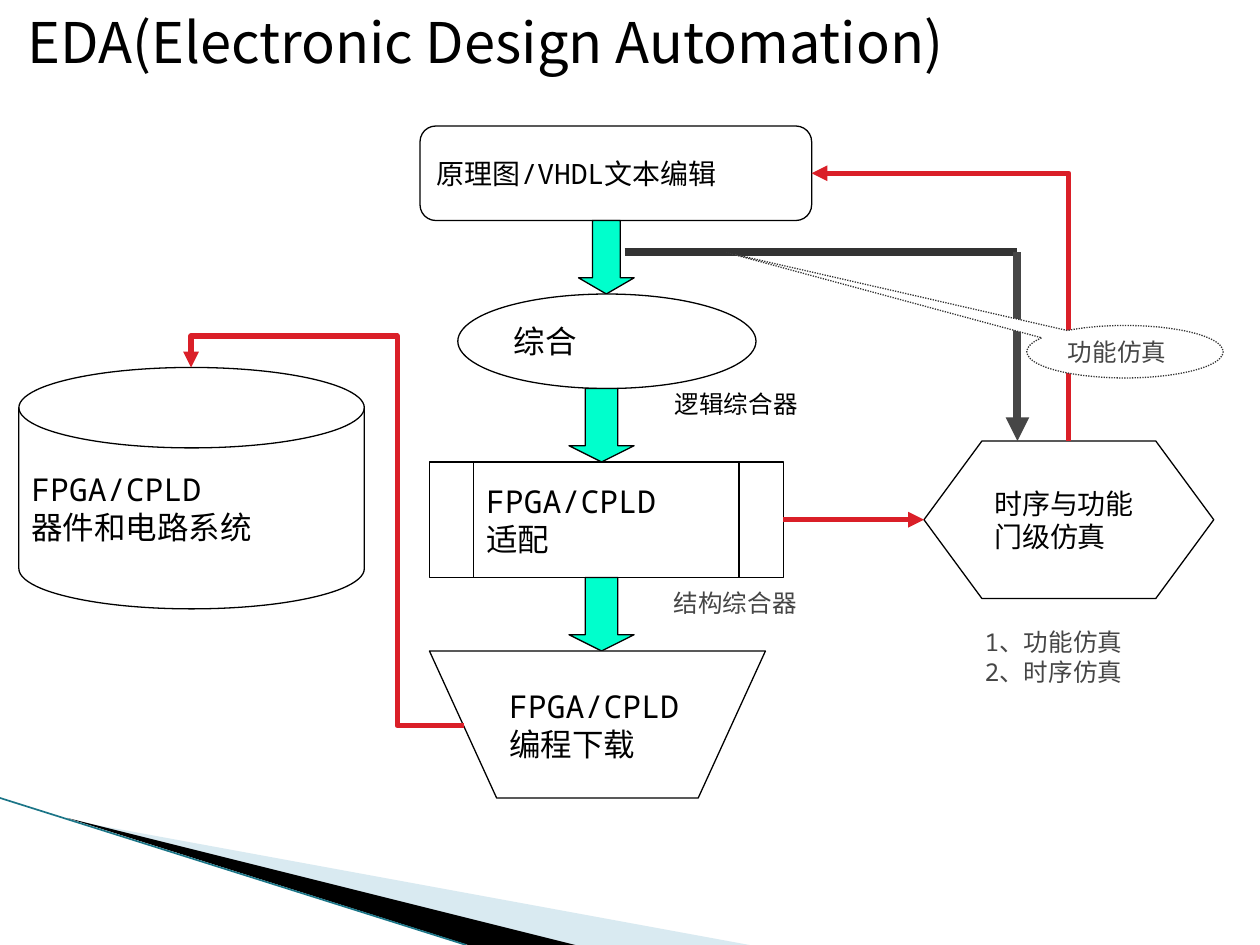
from dataclasses import dataclass

from lxml import etree
from pptx import Presentation
from pptx.dml.color import RGBColor
from pptx.enum import dml, shapes, text
from pptx.oxml import ns
from pptx.util import Inches, Pt

COLUMNS, ROWS = 120, 90
WIDTH, HEIGHT = Inches(10), Inches(7.5)
COLORS = {
    "ink": "000000", "paper": "FFFFFF", "grey": "464646", "dark": "333333",
    "red": "DA1F28", "mint": "00FFCC", "pale": "A0CBDC", "teal": "1B7587",
}
MONO, SANS = "Noto Sans Mono", "Noto Sans CJK SC"
Kind = shapes.MSO_SHAPE


@dataclass
class Region:
    canvas: object
    left: float
    top: float

    def point(self, col, row):
        return (round((self.left + col) * WIDTH / COLUMNS),
                round((self.top + row) * HEIGHT / ROWS))

    def box(self, col, row, cols, rows):
        return (*self.point(col, row),
                round(cols * WIDTH / COLUMNS), round(rows * HEIGHT / ROWS))


def rgb(name):
    return RGBColor.from_string(COLORS[name])


def write(frame, lines, size, color="ink", font=MONO):
    frame.text = "\n".join(lines)
    for paragraph in frame.paragraphs:
        paragraph.alignment = text.PP_ALIGN.LEFT
        paragraph.font.size = Pt(size)
        paragraph.font.name = font
        paragraph.font.color.rgb = rgb(color)


def paint(shape, fill, line="ink"):
    shape.shadow.inherit = False
    shape.fill.solid()
    shape.fill.fore_color.rgb = rgb(fill)
    if line:
        shape.line.color.rgb = rgb(line)
        shape.line.width = Pt(0.75)
    else:
        shape.line.fill.background()


def add_node(region, kind, box, lines=(), size=18, fill="paper", color="ink", line="ink"):
    node = region.canvas.add_shape(kind, *region.box(*box))
    paint(node, fill, line)
    if lines:
        node.text_frame.word_wrap = True
        node.text_frame.vertical_anchor = text.MSO_ANCHOR.MIDDLE
        write(node.text_frame, lines, size, color)
    return node


def add_label(region, box, lines, color, wrap=False):
    frame = region.canvas.add_textbox(*region.box(*box)).text_frame
    frame.word_wrap = wrap
    frame.vertical_anchor = text.MSO_ANCHOR.MIDDLE
    write(frame, lines, 14, color)


def add_link(region, start, end, color="red", width=3, arrow=True, bend=None, adjust=()):
    kind = shapes.MSO_CONNECTOR.ELBOW if bend else shapes.MSO_CONNECTOR.STRAIGHT
    link = region.canvas.add_connector(kind, *region.point(*start), *region.point(*end))
    link.line.color.rgb = rgb(color)
    link.line.width = Pt(width)
    properties = link._element.spPr
    if bend:
        geometry = properties.find(ns.qn("a:prstGeom"))
        geometry.set("prst", bend)
        guides = geometry.find(ns.qn("a:avLst"))
        for number, value in enumerate(adjust, 1):
            etree.SubElement(guides, ns.qn("a:gd"), name=f"adj{number}",
                             fmla=f"val {round(value * 100000)}")
    if arrow:
        etree.SubElement(properties.find(ns.qn("a:ln")), ns.qn("a:tailEnd"), type="triangle")
    etree.SubElement(properties, ns.qn("a:effectLst"))
    return link


def add_corner_link(region, start, end):
    (x1, y1), (x2, y2) = start, end
    middle_x, middle_y = (x1 + x2) / 2, (y1 + y2) / 2
    half_x, half_y = (y1 - y2) / 2, (x1 - x2) / 2
    link = add_link(region, (middle_x + half_x, middle_y - half_y),
                    (middle_x - half_x, middle_y + half_y), bend="bentConnector2")
    link._element.spPr.find(ns.qn("a:xfrm")).set("rot", "5400000")


def draw_corner(region):
    wedges = [
        ("pale", [(6.6, 2.1), (71.4, 14), (54.7, 14)]),
        ("ink", [(6.4, 1.9), (54.8, 14), (44.6, 14)]),
    ]
    for color, (first, *others) in wedges:
        builder = region.canvas.build_freeform(*region.point(*first))
        builder.add_line_segments([region.point(*corner) for corner in others])
        wedge = builder.convert_to_shape()
        paint(wedge, color, None)
        if color == "pale":
            tint = wedge._element.spPr.find(ns.qn("a:solidFill"))[0]
            etree.SubElement(tint, ns.qn("a:alpha"), val="40000")
    add_link(region, (0, 0), (44.4, 14), "teal", 0.95, arrow=False)


def draw_title(region, title):
    title.left, title.top, title.width, title.height = region.box(0.2, 0.1, 99.6, 7.7)
    frame = title.text_frame
    frame.auto_size = text.MSO_AUTO_SIZE.NONE
    frame.vertical_anchor = text.MSO_ANCHOR.TOP
    frame.margin_left = Inches(0.2)
    write(frame, ["EDA(Electronic Design Automation)"], 32, font=SANS)


def draw_design_flow(region):
    gap = 7
    steps = [
        (Kind.FLOWCHART_ALTERNATE_PROCESS, 0, 37.3, 9, ["原理图/VHDL文本编辑"], 16),
        (Kind.OVAL, 3.6, 28.4, 9, ["综合"], 18),
        (Kind.FLOWCHART_PREDEFINED_PROCESS, 0.9, 33.7, 11, ["FPGA/CPLD", "适配"], 18),
        (Kind.FLOWCHART_MANUAL_OPERATION, 0.9, 32, 14, ["FPGA/CPLD", "编程下载"], 18),
    ]
    arrows = [(15.1, 5.3, 0.29), (14.2, 6.2, 0.25), (14.2, 6.2, 0.25)]
    row = 0
    for index, (kind, col, cols, rows, lines, size) in enumerate(steps):
        add_node(region, kind, (col, row, cols, rows), lines, size)
        row += rows
        if index < len(arrows):
            arrow_col, arrow_cols, head = arrows[index]
            arrow = add_node(region, Kind.DOWN_ARROW, (arrow_col, row, arrow_cols, gap),
                             fill="mint")
            arrow.adjustments[1] = head
            row += gap
    add_label(region, (23.1, 24.4, 14.2, 4), ["逻辑综合器"], "ink")
    add_label(region, (23, 43.4, 14.2, 4), ["结构综合器"], "grey")


def draw_device(region):
    add_node(region, Kind.FLOWCHART_MAGNETIC_DISK, (0, 0, 32.9, 23),
             ["FPGA/CPLD", "器件和电路系统"])
    add_link(region, (42.4, 34.1), (16.4, 0), bend="bentConnector4", adjust=(0.245, 1.088))


def draw_simulation(region):
    add_node(region, Kind.FLOWCHART_PREPARATION, (28, 30, 27.6, 15),
             ["时序与功能", "门级仿真"], 16)
    add_corner_link(region, (41.8, 30), (17.3, 4.5))
    add_link(region, (14.6, 37.5), (28, 37.5))
    add_link(region, (-0.5, 12), (36.9, 12), "dark", 4.5, arrow=False)
    add_link(region, (36.9, 12), (36.9, 30), "grey", 4.5)
    add_label(region, (32.6, 47.1, 15.7, 6.9), ["1、功能仿真", "2、时序仿真"], "grey", wrap=True)
    callout = add_node(region, Kind.OVAL_CALLOUT, (37.8, 19, 18.7, 5),
                       ["功能仿真"], 14, color="grey", line="dark")
    callout.adjustments[0] = -2.03
    callout.adjustments[1] = -1.89
    callout.line.dash_style = dml.MSO_LINE.ROUND_DOT


def main():
    deck = Presentation()
    deck.slide_width, deck.slide_height = WIDTH, HEIGHT
    slide = deck.slides.add_slide(deck.slide_layouts[5])
    canvas = slide.shapes
    draw_corner(Region(canvas, 0, 76))
    draw_title(Region(canvas, 0, 0), canvas.title)
    draw_design_flow(Region(canvas, 40, 12))
    draw_device(Region(canvas, 1.8, 35))
    draw_simulation(Region(canvas, 60, 12))
    deck.save("out.pptx")


if __name__ == "__main__":
    main()
